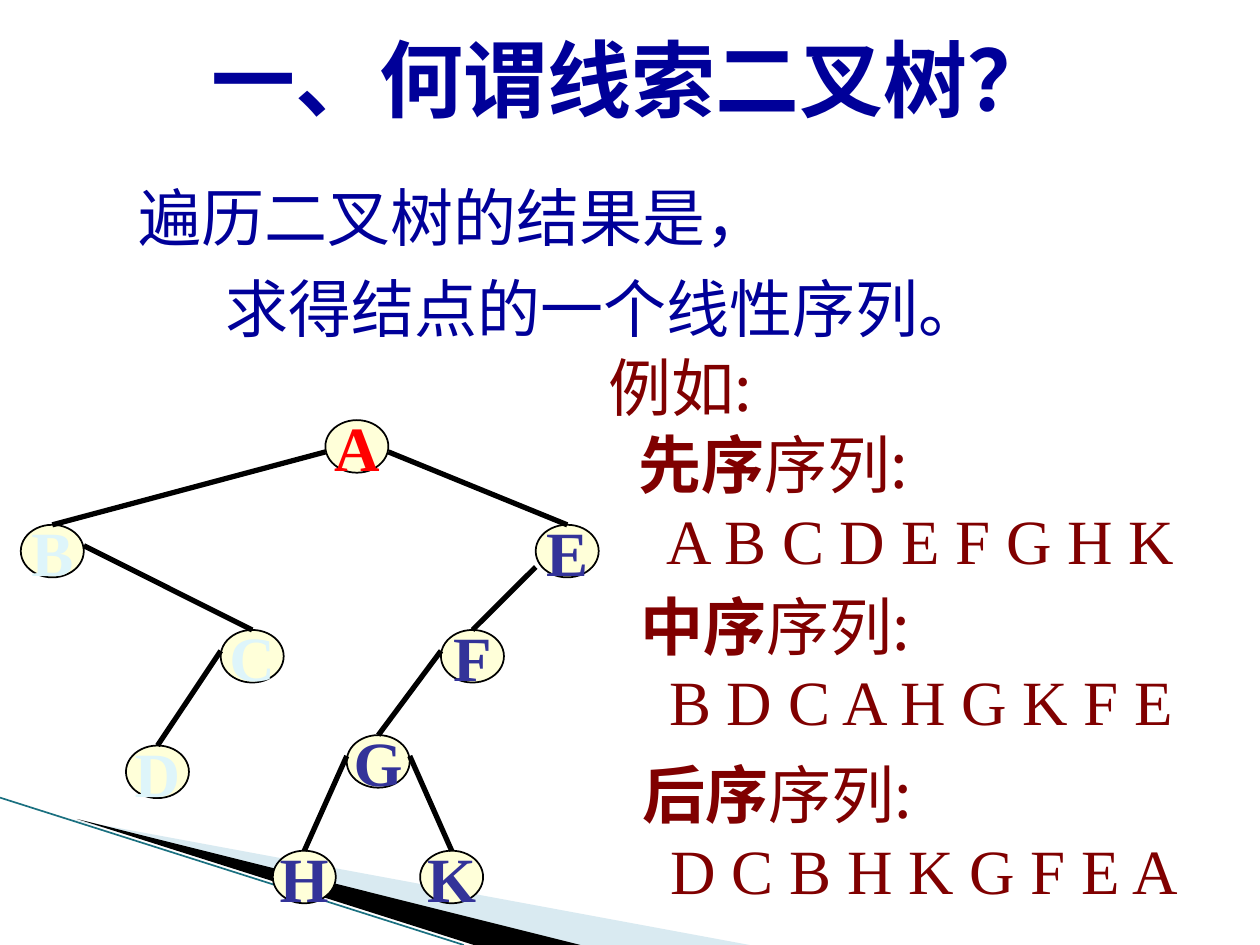
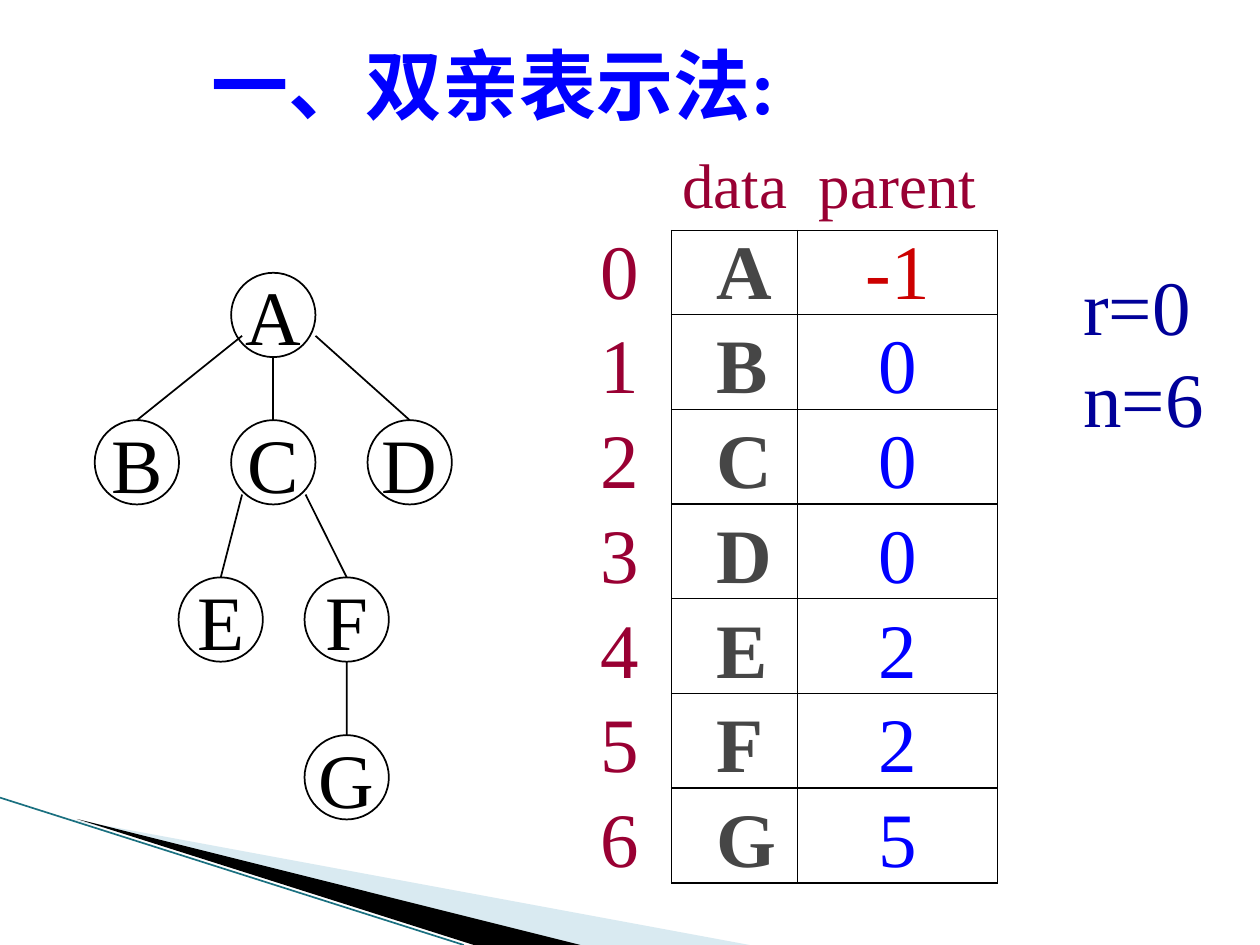
from dataclasses import dataclass

from lxml.etree import SubElement
from pptx import Presentation
from pptx.dml.color import RGBColor
from pptx.enum.shapes import MSO_CONNECTOR, MSO_SHAPE
from pptx.enum.text import MSO_ANCHOR, PP_ALIGN
from pptx.oxml.ns import qn
from pptx.util import Cm, Pt


@dataclass(frozen=True)
class Theme:
    serif: str = "Times New Roman"
    sans: str = "Noto Sans CJK SC"
    title: int = 48
    large: int = 44
    body: int = 36
    black: str = "000000"
    navy: str = "000099"
    blue: str = "0000FF"
    maroon: str = "800000"
    crimson: str = "990033"
    red: str = "FF0000"
    dark_red: str = "CC0000"
    indigo: str = "333399"
    pale_blue: str = "DEF5FA"
    cream: str = "FFFFD9"
    grey: str = "464646"
    band: str = "A0CBDC"
    band_line: str = "1A7080"


T = Theme()
NO_STYLE_TABLE = "{2D5ABB26-0587-4C30-8999-92F81FD0307C}"


def style(p, size, color, bold=False, font=T.serif):
    """Set the paragraph font, with the sans face for Chinese characters."""
    f = p.font
    f.size, f.bold, f.name = Pt(size), bold, font
    f.color.rgb = RGBColor.from_string(color)
    SubElement(p._p.pPr.find(qn("a:defRPr")), qn("a:ea")).set("typeface", T.sans)


def add_line(slide, x1, y1, x2, y2, width, color=T.black):
    line = slide.shapes.add_connector(
        MSO_CONNECTOR.STRAIGHT, Cm(x1), Cm(y1), Cm(x2), Cm(y2))
    line.line.width = Pt(width)
    line.line.color.rgb = RGBColor.from_string(color)
    SubElement(line._element.spPr, qn("a:effectLst"))
    return line


prs = Presentation()
prs.slide_width, prs.slide_height = Cm(25.4), Cm(19.05)
threaded, parents = [prs.slides.add_slide(prs.slide_layouts[6]) for _ in range(2)]

# Corner bands
bands = [
    (T.band, 40, [(1.4, 16.51), (15.11, 19.05), (11.58, 19.05)]),
    (T.black, 100, [(1.55, 16.51), (11.7, 19.05), (9.55, 19.05)]),
]
for slide in (threaded, parents):
    for color, opacity, points in bands:
        fb = slide.shapes.build_freeform(Cm(points[0][0]), Cm(points[0][1]), scale=1.0)
        fb.add_line_segments([(Cm(x), Cm(y)) for x, y in points[1:]], close=True)
        sp = fb.convert_to_shape()
        sp.shadow.inherit = False
        sp.line.fill.background()
        sp.fill.solid()
        sp.fill.fore_color.rgb = RGBColor.from_string(color)
        clr = sp._element.spPr.find(qn("a:solidFill"))[0]
        SubElement(clr, qn("a:alpha")).set("val", str(opacity * 1000))
    add_line(slide, 0, 16.08, 9.35, 19.05, 0.95, T.band_line)

# Trees: nodes are (left, top, letter colour), edges are
# (parent, child, start offset from the parent's top left corner)
threaded_nodes = {
    "A": (6.56, 8.47, T.red),
    "B": (0.42, 10.58, T.pale_blue),
    "C": (4.45, 12.7, T.pale_blue),
    "D": (2.54, 15.03, T.pale_blue),
    "E": (10.8, 10.58, T.indigo),
    "F": (8.89, 12.7, T.indigo),
    "G": (6.99, 14.82, T.indigo),
    "H": (5.5, 17.15, T.indigo),
    "K": (8.47, 17.15, T.indigo),
}
threaded_edges = [
    ("A", "B", 0, 0.64), ("B", "C", 1.27, 0.42), ("C", "D", 0, 0.42),
    ("A", "E", 1.27, 0.64), ("E", "F", 0, 0.85), ("F", "G", 0, 0.42),
    ("G", "H", 0, 0.42), ("G", "K", 1.27, 0.42),
]
parent_nodes = {
    "A": (4.66, 5.5, T.black),
    "B": (1.91, 8.47, T.black),
    "C": (4.66, 8.47, T.black),
    "D": (7.41, 8.47, T.black),
    "E": (3.6, 11.64, T.black),
    "F": (6.14, 11.64, T.black),
    "G": (6.14, 14.82, T.black),
}
parent_edges = [
    ("A", "B", 0.22, 1.27), ("A", "C", 0.85, 1.7), ("A", "D", 1.7, 1.27),
    ("C", "E", 0.22, 1.5), ("C", "F", 1.5, 1.5), ("F", "G", 0.85, 1.7),
]
trees = [
    (threaded, threaded_nodes, threaded_edges, 1.27, 1.06, T.cream, T.body, True, 3),
    (parents, parent_nodes, parent_edges, 1.7, 1.7, None, T.large, False, 1),
]
for slide, nodes, edges, w, h, fill, size, bold, edge_width in trees:
    ovals = {}
    for letter, (x, y, color) in nodes.items():
        sp = slide.shapes.add_shape(MSO_SHAPE.OVAL, Cm(x), Cm(y), Cm(w), Cm(h))
        sp.shadow.inherit = False
        if fill:
            sp.fill.solid()
            sp.fill.fore_color.rgb = RGBColor.from_string(fill)
        else:
            sp.fill.background()
        sp.line.width = Pt(1)
        sp.line.color.rgb = RGBColor.from_string(T.black)
        tf = sp.text_frame
        tf.word_wrap = False
        tf.vertical_anchor = MSO_ANCHOR.MIDDLE
        p = tf.paragraphs[0]
        p.text = letter
        p.alignment = PP_ALIGN.CENTER
        style(p, size, color, bold)
        ovals[letter] = sp
    for parent, child, dx, dy in edges:
        x, y, _ = nodes[parent]
        child_x, child_y, _ = nodes[child]
        line = add_line(slide, x + dx, y + dy, child_x + w / 2, child_y, edge_width)
        line.end_connect(ovals[child], 0)

# Plain text: box, size, colour, bold, line spacing, (indent, text) paragraphs
texts = [
    (threaded, (4.01, 0.43, 19.25, 2.29), T.title, T.navy, True, 1,
     [(0, "一、何谓线索二叉树？")]),
    (threaded, (2.54, 3.18, 20.96, 3.91), T.body, T.navy, False, 1.2,
     [(0, "遍历二叉树的结果是，"), (1.75, "求得结点的一个线性序列。")]),
    (threaded, (12.01, 6.91, 4, 1.78), T.body, T.maroon, False, 1,
     [(0, "例如:")]),
    (parents, (4.01, 0.64, 14, 2.11), T.large, T.blue, True, 1,
     [(0, "一、双亲表示法:")]),
    (parents, (21.59, 5.08, 3.6, 3.99), T.large, T.navy, False, 1,
     [(0, "r=0"), (0, "n=6")]),
]
for slide, box, size, color, bold, spacing, paragraphs in texts:
    tf = slide.shapes.add_textbox(*map(Cm, box)).text_frame
    tf.word_wrap = True
    for i, (indent, text) in enumerate(paragraphs):
        p = tf.add_paragraph() if i else tf.paragraphs[0]
        p.text = text
        p.line_spacing = spacing
        p._p.get_or_add_pPr().set("marL", str(Cm(indent)))
        style(p, size, color, bold, T.sans if text == "例如:" else T.serif)

# Traversal sequences
sequences = [
    (12.62, 8.46, "先序", "A B C D E F G H K"),
    (12.67, 11.71, "中序", "B D C A H G K F E"),
    (12.7, 15.11, "后序", "D C B H K G F E A"),
]
for x, y, order, letters in sequences:
    tf = threaded.shapes.add_textbox(Cm(x), Cm(y), Cm(12.1), Cm(3.3)).text_frame
    tf.word_wrap = True
    p = tf.paragraphs[0]
    r = p.add_run()
    r.text = order
    r.font.bold = True
    p.add_run().text = "序列:"
    style(p, T.body, T.maroon, font=T.sans)
    p = tf.add_paragraph()
    p.text = letters
    p._p.get_or_add_pPr().set("marL", str(Cm(0.57)))
    style(p, T.body, T.maroon)

# Parent array: an open index column and header row around a ruled grid
rows = [("", "data", "parent")]
rows += [(str(i), letter, parent) for i, (letter, parent) in enumerate(
    zip("ABCDEFG", ["-1", "0", "0", "0", "2", "2", "5"]))]
col_widths = [1.68, 2.54, 6.57 - 2.54]
row_heights = [1.91, 1.69] + [1.91] * 6
frame = parents.shapes.add_table(len(rows), 3, Cm(11.86), Cm(2.74),
                                 Cm(sum(col_widths)), Cm(sum(row_heights)))
table = frame.table
table.first_row = table.horz_banding = False
table._tbl.tblPr.find(qn("a:tableStyleId")).text = NO_STYLE_TABLE
for col, width in zip(table.columns, col_widths):
    col.width = Cm(width)
for row, height in zip(table.rows, row_heights):
    row.height = Cm(height)
for i, values in enumerate(rows):
    for j, value in enumerate(values):
        cell = table.cell(i, j)
        in_grid = i > 0 and j > 0
        if in_grid:
            for side in ("lnL", "lnR", "lnT", "lnB"):
                ln = SubElement(cell._tc.get_or_add_tcPr(), qn(f"a:{side}"), w=str(Pt(1)))
                SubElement(SubElement(ln, qn("a:solidFill")), qn("a:srgbClr"), val=T.black)
        cell.fill.background()
        cell.vertical_anchor = MSO_ANCHOR.BOTTOM
        cell.margin_top = cell.margin_right = 0
        cell.margin_bottom = Cm(0 if i else 0.2)
        cell.margin_left = Cm(0.25 if j == 0 else 0.9 if in_grid and j == 1 else 0)
        p = cell.text_frame.paragraphs[0]
        p.text = value
        p.line_spacing = 0.9
        p.alignment = PP_ALIGN.CENTER if i == 0 or j == 2 else PP_ALIGN.LEFT
        if not in_grid:
            style(p, T.large if i else T.body, T.crimson)
        elif j == 1:
            style(p, T.large, T.grey, True)
        else:
            style(p, T.large, T.dark_red if value == "-1" else T.blue)

prs.save("out.pptx")
